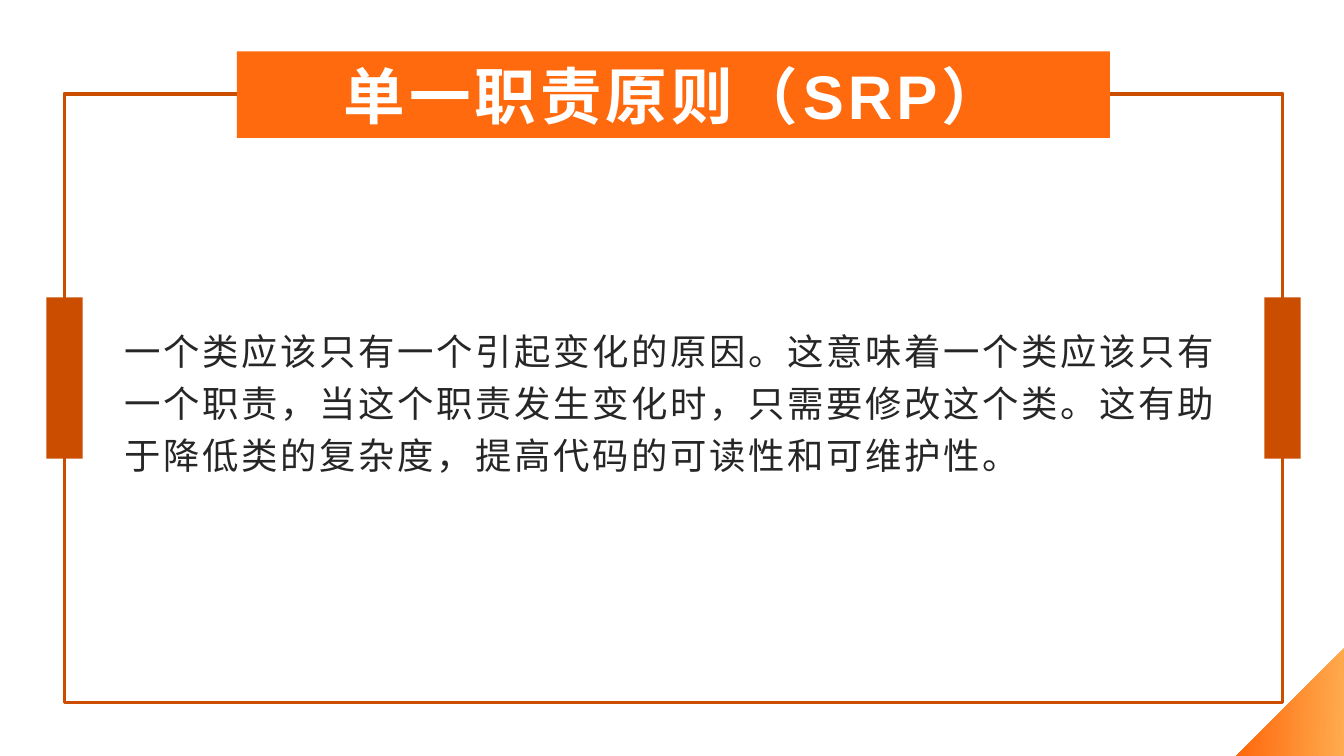
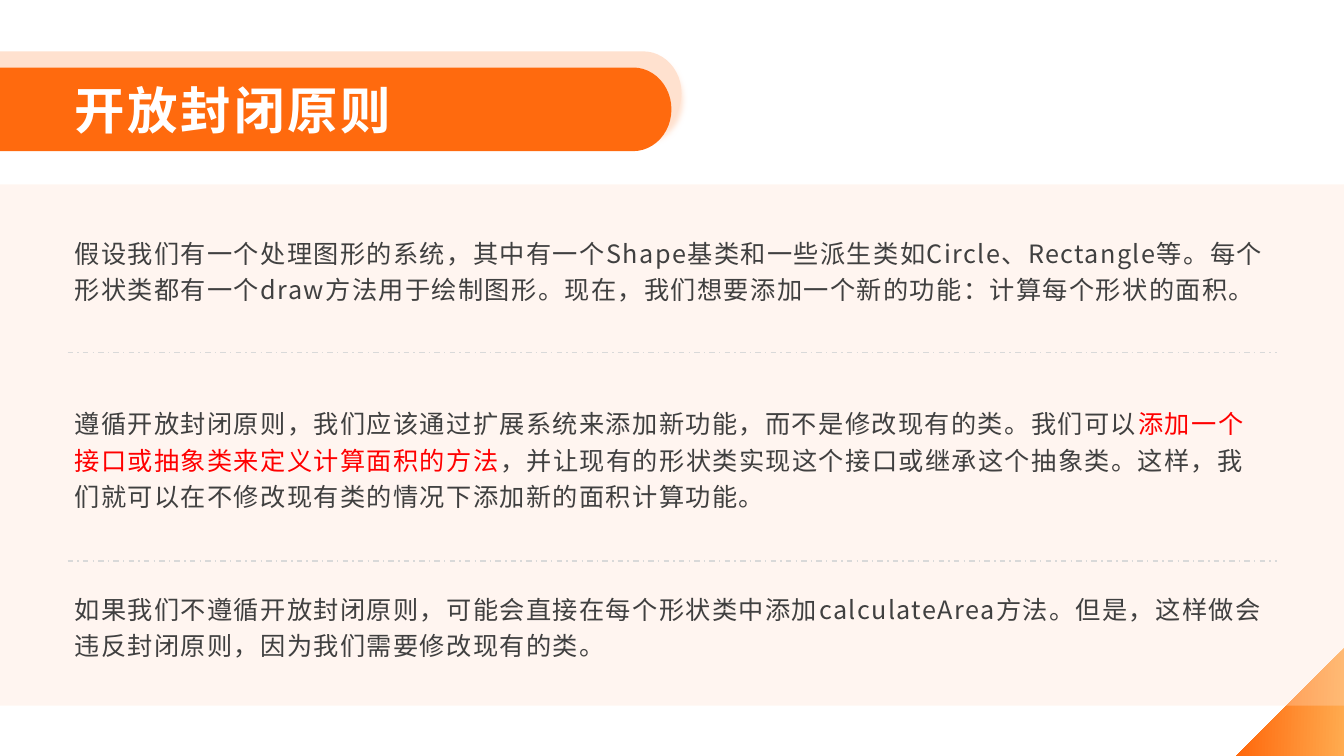
from dataclasses import dataclass
from math import cos, pi, sin

from lxml import etree
from pptx import Presentation
from pptx.dml.color import RGBColor
from pptx.enum.dml import MSO_LINE
from pptx.enum.shapes import MSO_CONNECTOR, MSO_SHAPE
from pptx.enum.text import MSO_ANCHOR, PP_ALIGN
from pptx.oxml.ns import qn
from pptx.util import Inches, Pt

RECTANGLE = MSO_SHAPE.RECTANGLE
STRAIGHT = MSO_CONNECTOR.STRAIGHT
DASH_DOT = MSO_LINE.DASH_DOT
MIDDLE = MSO_ANCHOR.MIDDLE
LEFT, CENTER = PP_ALIGN.LEFT, PP_ALIGN.CENTER


@dataclass(frozen=True)
class TextStyle:
    size: int
    color: str
    font: str
    spacing: float
    bold: bool = False
    align: PP_ALIGN = LEFT
    line_spacing: float = 1.0
    space_after: int = 0
    inset: tuple = (0.07, 0.03)


class Theme:
    orange = "FF6A0E"
    dark_orange = "CA4D00"
    light_orange = "FFAB4F"
    peach = "FFE1CF"
    white = "FFFFFF"
    divider = "D9D9D9"
    highlight = "FF0000"
    cjk_font = "Noto Sans CJK SC"
    frame_title = TextStyle(44, white, "Arial", 2.8, True, CENTER)
    frame_body = TextStyle(26, "262626", "Arial", 1.8, line_spacing=1.2,
                           space_after=8, inset=(0.1, 0.05))
    band_title = TextStyle(36, white, cjk_font, 2, True)
    band_body = TextStyle(18, "404040", cjk_font, 1, line_spacing=1.2, space_after=8)


SLIDE_W, SLIDE_H = 13.33, 7.5
CORNER = 1.07

SRP_TITLE = "单一职责原则（SRP）"
SRP_BODY = "一个类应该只有一个引起变化的原因。这意味着一个类应该只有一个职责，当这个职责发生变化时，只需要修改这个类。这有助于降低类的复杂度，提高代码的可读性和可维护性。"

OCP_TITLE = "开放封闭原则"
OCP_SECTIONS = [
    (2, 1.33, [("假设我们有一个处理图形的系统，其中有一个Shape基类和一些派生类如Circle、Rectangle等。每个形状类都有一个draw方法用于绘制图形。现在，我们想要添加一个新的功能：计算每个形状的面积。", None)]),
    (3.67, 1.73, [
        ("遵循开放封闭原则，我们应该通过扩展系统来添加新功能，而不是修改现有的类。我们可以", None),
        ("添加一个接口或抽象类来定义计算面积的方法", Theme.highlight),
        ("，并让现有的形状类实现这个接口或继承这个抽象类。这样，我们就可以在不修改现有类的情况下添加新的面积计算功能。", None),
    ]),
    (5.73, 0.93, [("如果我们不遵循开放封闭原则，可能会直接在每个形状类中添加calculateArea方法。但是，这样做会违反封闭原则，因为我们需要修改现有的类。", None)]),
]


def rgb(color):
    return RGBColor.from_string(color)


def paint(shape, fill, outline=None, width=0):
    shape.shadow.inherit = False
    shape.fill.solid()
    shape.fill.fore_color.rgb = rgb(fill)
    if outline:
        shape.line.color.rgb = rgb(outline)
        shape.line.width = Pt(width)
    else:
        shape.line.fill.background()
    return shape


def add_rect(slide, box, fill, outline=None, width=0):
    shape = slide.shapes.add_shape(RECTANGLE, *map(Inches, box))
    return paint(shape, fill, outline, width)


def add_outline(slide, points):
    points = [(Inches(x), Inches(y)) for x, y in points]
    builder = slide.shapes.build_freeform(*points[0])
    builder.add_line_segments(points[1:], close=True)
    return builder.convert_to_shape()


def write(shape, pieces, style):
    frame = shape.text_frame
    frame.word_wrap = True
    frame.vertical_anchor = MIDDLE
    frame.margin_left = frame.margin_right = Inches(style.inset[0])
    frame.margin_top = frame.margin_bottom = Inches(style.inset[1])
    paragraph = frame.paragraphs[0]
    paragraph.alignment = style.align
    paragraph.line_spacing = style.line_spacing
    paragraph.space_after = Pt(style.space_after)
    font = paragraph.font
    font.size, font.bold, font.name = Pt(style.size), style.bold, style.font
    font.color.rgb = rgb(style.color)
    defaults = paragraph._p.pPr.find(qn("a:defRPr"))
    defaults.set("spc", str(round(style.spacing * 100)))
    etree.SubElement(defaults, qn("a:ea"), typeface=Theme.cjk_font)
    for text, color in pieces:
        run = paragraph.add_run()
        run.text = text
        if color:
            run.font.color.rgb = rgb(color)


def add_text(slide, box, pieces, style):
    write(slide.shapes.add_textbox(*map(Inches, box)), pieces, style)


def add_soft_shadow(shape, color, blur, distance):
    effects = shape._element.spPr.find(qn("a:effectLst"))
    shadow = etree.SubElement(effects, qn("a:outerShdw"), blurRad=str(Pt(blur)),
                              dist=str(Pt(distance)), dir="5400000", rotWithShape="0")
    etree.SubElement(shadow, qn("a:srgbClr"), val=color)


def add_divider(slide, left, right, y):
    line = slide.shapes.add_connector(STRAIGHT, *map(Inches, (left, y, right, y)))
    line.line.color.rgb = rgb(Theme.divider)
    line.line.width = Pt(1)
    line.line.dash_style = DASH_DOT
    etree.SubElement(line._element.spPr, qn("a:effectLst"))


def add_title_band(slide, top, right, fill):
    height, curve, steps = 0.83, 0.38, 24
    angles = [pi * (step / steps - 0.5) for step in range(steps + 1)]
    rounded_end = [(right - curve + curve * cos(a), top + height / 2 * (1 + sin(a)))
                   for a in angles]
    return paint(add_outline(slide, [(0, top), *rounded_end, (0, top + height)]), fill)


def new_slide(deck):
    slide = deck.slides.add_slide(deck.slide_layouts[6])
    corner = paint(add_outline(slide, [(SLIDE_W, SLIDE_H - CORNER), (SLIDE_W, SLIDE_H),
                                       (SLIDE_W - CORNER, SLIDE_H)]), Theme.orange)
    corner.fill.gradient()
    corner.fill.gradient_angle = 178
    stops = [(0, Theme.light_orange), (0.94, Theme.orange)]
    for stop, (position, color) in zip(corner.fill.gradient_stops, stops):
        stop.position = position
        stop.color.rgb = rgb(color)
    return slide


def build_srp(deck):
    slide = new_slide(deck)
    left, top, width, height = 0.64, 0.93, 12.08, 6.04
    add_rect(slide, (left, top, width, height), Theme.white, Theme.dark_orange, 2.75)
    title = add_rect(slide, (2.35, 0.51, 8.66, 0.86), Theme.orange)
    write(title, [(SRP_TITLE, None)], Theme.frame_title)
    add_text(slide, (1.14, 1.94, 11.06, 4.03), [(SRP_BODY, None)], Theme.frame_body)
    tab_width, tab_height = 0.36, 1.6
    for edge in (left, left + width):
        add_rect(slide, (edge - tab_width / 2, 2.95, tab_width, tab_height),
                 Theme.dark_orange)


def build_ocp(deck):
    slide = new_slide(deck)
    left, width = 0.67, 12
    back_band = add_title_band(slide, 0.51, 6.76, Theme.peach)
    add_soft_shadow(back_band, Theme.peach, 4, 4)
    panel = add_rect(slide, (0, 1.83, SLIDE_W, 5.17), Theme.peach)
    panel_color = panel._element.spPr.find(qn("a:solidFill"))[0]
    etree.SubElement(panel_color, qn("a:alpha"), val="30000")
    for (top, height, _), (next_top, _, _) in zip(OCP_SECTIONS, OCP_SECTIONS[1:]):
        add_divider(slide, left, left + width, (top + height + next_top) / 2)
    add_title_band(slide, 0.67, 6.66, Theme.orange)
    for top, height, pieces in OCP_SECTIONS:
        add_text(slide, (left, top, width, height), pieces, Theme.band_body)
    add_text(slide, (left, 0.67, 9.33, 0.83), [(OCP_TITLE, None)], Theme.band_title)


def main():
    deck = Presentation()
    deck.slide_width, deck.slide_height = Inches(SLIDE_W), Inches(SLIDE_H)
    build_srp(deck)
    build_ocp(deck)
    deck.save("out.pptx")


if __name__ == "__main__":
    main()
